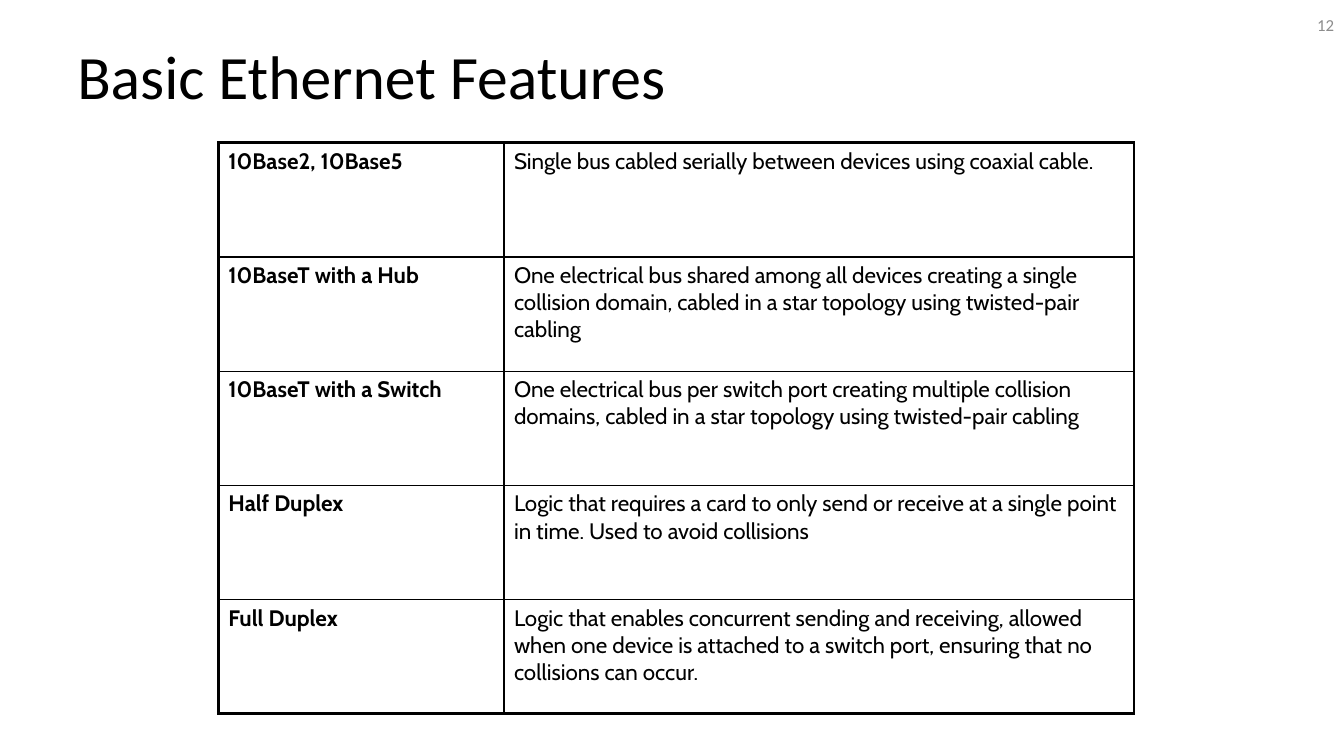
"""Builds the slide that tabulates basic Ethernet features."""
from lxml.etree import SubElement
from pptx import Presentation
from pptx.dml.color import RGBColor
from pptx.enum.text import MSO_ANCHOR, MSO_AUTO_SIZE, PP_ALIGN
from pptx.oxml.ns import qn
from pptx.util import Emu, Pt

PX = 9525
BLACK = RGBColor(0x00, 0x00, 0x00)
GREY = RGBColor(0x8C, 0x8C, 0x8C)
OUTER_LINE, INNER_LINE = Pt(2.25), Pt(1)
TITLE_ONLY = 5

FEATURES = [
    ("10Base2, 10Base5",
     "Single bus cabled serially between devices using coaxial cable."),
    ("10BaseT with a Hub",
     "One electrical bus shared among all devices creating a single collision "
     "domain, cabled in a star topology using twisted-pair cabling"),
    ("10BaseT with a Switch",
     "One electrical bus per switch port creating multiple collision domains, "
     "cabled in a star topology using twisted-pair cabling"),
    ("Half Duplex",
     "Logic that requires a card to only send or receive at a single point in "
     "time. Used to avoid collisions"),
    ("Full Duplex",
     "Logic that enables concurrent sending and receiving, allowed when one "
     "device is attached to a switch port, ensuring that no collisions can occur."),
]


def px(*lengths):
    """Turn pixel lengths into EMU."""
    return [Emu(length * PX) for length in lengths]


def add_text(paragraph, wording, font, size, color=BLACK, bold=False):
    """Add one formatted run to a paragraph."""
    run = paragraph.add_run()
    run.text = wording
    run.font.name = font
    run.font.size = Pt(size)
    run.font.bold = bold
    run.font.color.rgb = color


def place_title(slide, box, wording):
    """Move the title placeholder into its box and fill it."""
    title = slide.shapes.title
    title.left, title.top, title.width, title.height = px(*box)
    frame = title.text_frame
    frame.word_wrap = True
    frame.auto_size = MSO_AUTO_SIZE.NONE
    frame.vertical_anchor = MSO_ANCHOR.MIDDLE
    heading = frame.paragraphs[0]
    heading.alignment = PP_ALIGN.LEFT
    heading.line_spacing = 0.9
    add_text(heading, wording, "Calibri", 44)


def place_slide_number(slide, box, number):
    """Put the slide number at the right of its box."""
    frame = slide.shapes.add_textbox(*px(*box)).text_frame
    frame.word_wrap = True
    frame.vertical_anchor = MSO_ANCHOR.MIDDLE
    frame.paragraphs[0].alignment = PP_ALIGN.RIGHT
    add_text(frame.paragraphs[0], number, "Calibri", 12, GREY)


def set_borders(cell, outer_sides):
    """Draw the four borders of a cell, thicker on the outer sides."""
    properties = cell._tc.get_or_add_tcPr()
    for position, side in enumerate("LRTB"):
        width = OUTER_LINE if side in outer_sides else INNER_LINE
        border = SubElement(properties, qn(f"a:ln{side}"), w=str(width))
        fill = SubElement(border, qn("a:solidFill"))
        SubElement(fill, qn("a:srgbClr"), val=str(BLACK))
        properties.insert(position, border)


def place_feature_table(slide, box, term_width, features):
    """Fill the box with one equal row per feature: term and meaning."""
    left, top, width, height = box
    table = slide.shapes.add_table(len(features), 2, *px(*box)).table
    table.first_row = table.horz_banding = False
    table.columns[0].width, table.columns[1].width = px(term_width, width - term_width)
    last = len(features) - 1
    for index, feature in enumerate(features):
        table.rows[index].height = Emu(height * PX // len(features))
        row_sides = ("T" if index == 0 else "") + ("B" if index == last else "")
        for column, wording in enumerate(feature):
            cell = table.cell(index, column)
            cell.fill.background()
            set_borders(cell, row_sides + "LR"[column])
            add_text(cell.text_frame.paragraphs[0], wording, "Cabin", 16,
                     bold=column == 0)


def main():
    """Build and save the presentation."""
    presentation = Presentation()
    presentation.slide_width, presentation.slide_height = px(1280, 720)
    slide = presentation.slides.add_slide(presentation.slide_layouts[TITLE_ONLY])
    place_slide_number(slide, (1013, 0, 267, 48), "12")
    place_title(slide, (64, 32, 1163, 88), "Basic Ethernet Features")
    place_feature_table(slide, (208, 136, 872, 544), 272, FEATURES)
    presentation.save("out.pptx")


if __name__ == "__main__":
    main()
